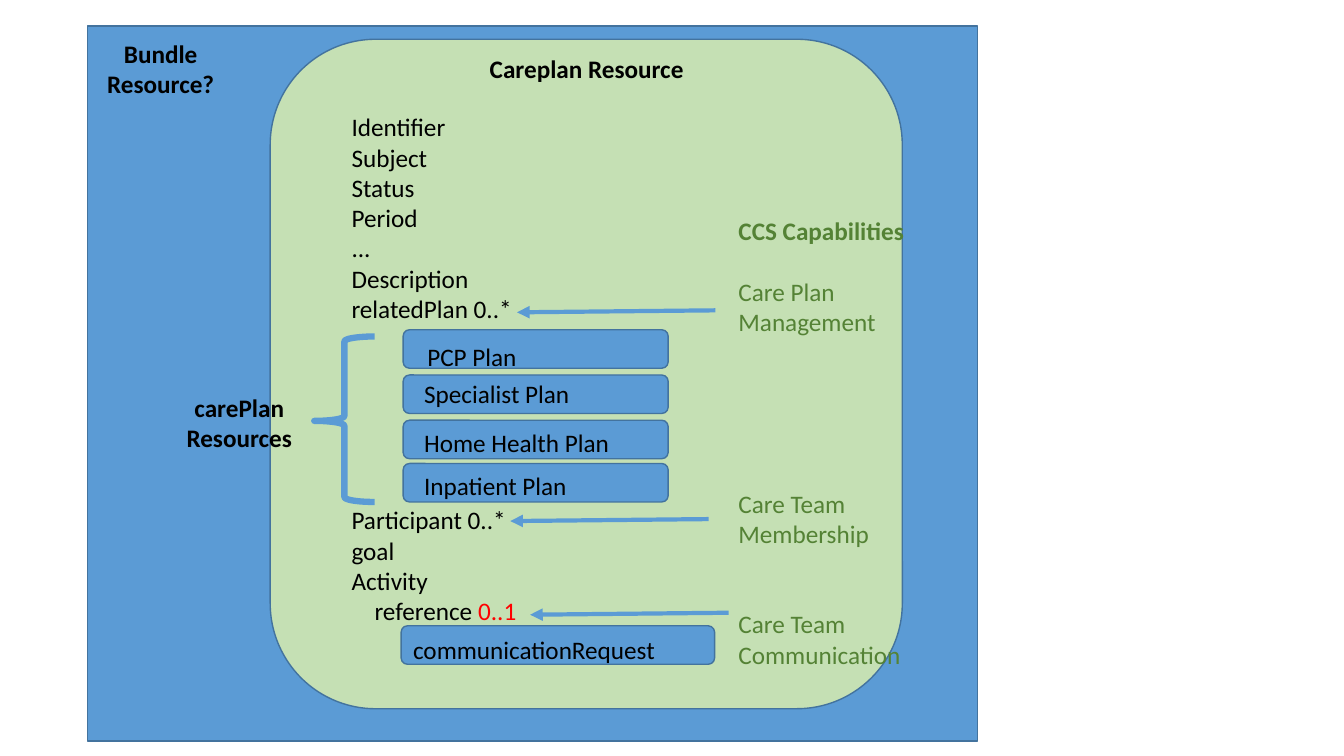
import pptx
import pptx.dml.color
import pptx.enum.shapes
import pptx.enum.text
import pptx.util
from lxml import etree
from pptx.util import Cm

BLUE = pptx.dml.color.RGBColor(0x5B, 0x9B, 0xD5)
DARK_BLUE = pptx.dml.color.RGBColor(0x43, 0x73, 0x9E)
LIGHT_GREEN = pptx.dml.color.RGBColor(0xC5, 0xE0, 0xB4)
GREEN = pptx.dml.color.RGBColor(0x54, 0x82, 0x35)
BLACK = pptx.dml.color.RGBColor(0, 0, 0)
RED = pptx.dml.color.RGBColor(0xFF, 0, 0)

SHAPES = pptx.enum.shapes.MSO_SHAPE
CENTER = pptx.enum.text.PP_ALIGN.CENTER
LEFT = pptx.enum.text.PP_ALIGN.LEFT
LINE_PITCH = 21.6

FIELDS = [
    ("Identifier", 0), ("Subject", 0), ("Status", 0), ("Period", 0),
    ("...", 0), ("Description", 0), ("relatedPlan 0..*", 0),
    ("Participant 0..*", 6), ("goal", 0), ("Activity", 0), ("reference ", 0),
]
CAPABILITIES = [
    ("CCS Capabilities", 0), ("Care Plan Management", 1),
    ("Care Team Membership", 5), ("Care Team Communication", 2),
]
PLANS = [
    ("PCP Plan", 8.31, 10.52, 8.48),
    ("Specialist Plan", 9.45, 10.44, 9.42),
    ("Home Health Plan", 10.59, 10.44, 10.64),
    ("Inpatient Plan", 11.68, 10.44, 11.73),
]
ARROW_STARTS = [(17.86, 13.08), (18.03, 7.82), (18.36, 15.44)]


def add_panel(slide, kind, left, top, width, height, color):
    panel = slide.shapes.add_shape(kind, Cm(left), Cm(top), Cm(width), Cm(height))
    panel.shadow.inherit = False
    panel.fill.solid()
    panel.fill.fore_color.rgb = color
    panel.line.color.rgb = DARK_BLUE
    panel.line.width = pptx.util.Pt(1)


def format_paragraph(paragraph, color, bold, alignment):
    paragraph.alignment = alignment
    paragraph.font.name = "Calibri"
    paragraph.font.size = pptx.util.Pt(18)
    paragraph.font.bold = bold
    paragraph.font.color.rgb = color


def add_text(slide, left, top, width, height, lines,
             color=BLACK, bold=False, alignment=LEFT):
    box = slide.shapes.add_textbox(Cm(left), Cm(top), Cm(width), Cm(height))
    frame = box.text_frame
    frame.word_wrap = True
    for index, (text, lines_before) in enumerate(lines):
        paragraph = frame.add_paragraph() if index else frame.paragraphs[0]
        paragraph.text = text
        if lines_before:
            paragraph.space_before = pptx.util.Pt(lines_before * LINE_PITCH)
        format_paragraph(paragraph, color, bold, alignment)
    return frame.paragraphs


def add_arrow(slide, left, top):
    arrow = slide.shapes.add_connector(
        pptx.enum.shapes.MSO_CONNECTOR.STRAIGHT,
        Cm(left), Cm(top), Cm(left - 5), Cm(top + 0.05))
    arrow.line.color.rgb = BLUE
    arrow.line.width = pptx.util.Pt(3)
    namespace = pptx.oxml.ns.qn
    etree.SubElement(arrow.line._get_or_add_ln(), namespace("a:tailEnd"), type="triangle")
    etree.SubElement(arrow._element.spPr, namespace("a:effectLst"))


def add_brace(slide):
    brace = slide.shapes.add_shape(
        SHAPES.LEFT_BRACE, Cm(7.92), Cm(8.48), Cm(1.52), Cm(4.17))
    brace.shadow.inherit = False
    brace.adjustments[0] = 0.08
    brace.adjustments[1] = 0.51
    brace.fill.background()
    brace.line.color.rgb = BLUE
    brace.line.width = pptx.util.Pt(4.5)


def place_title(slide):
    title = slide.shapes.title
    title.left, title.top, title.width, title.height = Cm(9.45), Cm(1.22), Cm(10.67), Cm(1.04)
    title.text_frame.text = "Careplan Resource"
    title.text_frame.vertical_anchor = pptx.enum.text.MSO_ANCHOR.TOP
    title.text_frame.auto_size = pptx.enum.text.MSO_AUTO_SIZE.NONE
    format_paragraph(title.text_frame.paragraphs[0], BLACK, True, CENTER)
    slide.shapes._spTree.append(title._element)


def main():
    presentation = pptx.Presentation()
    presentation.slide_width = Cm(33.87)
    presentation.slide_height = Cm(19.05)
    slide = presentation.slides.add_slide(presentation.slide_layouts[5])

    add_panel(slide, SHAPES.RECTANGLE, 2.21, 0.66, 22.43, 18.01, BLUE)
    add_panel(slide, SHAPES.ROUNDED_RECTANGLE, 6.81, 0.99, 15.93, 16.87, LIGHT_GREEN)

    reference = add_text(slide, 8.61, 2.69, 5.46, 15.65, FIELDS)[-1]
    reference._p.get_or_add_pPr().set("marL", str(Cm(0.58)))
    cardinality = reference.add_run()
    cardinality.text = "0..1"
    cardinality.font.color.rgb = RED

    for name, top, text_left, text_top in PLANS:
        add_panel(slide, SHAPES.ROUNDED_RECTANGLE, 10.16, top, 6.68, 0.97, BLUE)
        add_text(slide, text_left, text_top, 6.07, 1.02, [(name, 0)])
    add_panel(slide, SHAPES.ROUNDED_RECTANGLE, 10.11, 15.77, 7.9, 0.97, BLUE)
    add_text(slide, 10.16, 15.85, 6.68, 1.02, [("communicationRequest", 0)])

    for left, top in ARROW_STARTS:
        add_arrow(slide, left, top)

    capabilities = add_text(slide, 18.36, 5.31, 5.23, 11.79, CAPABILITIES, GREEN)
    capabilities[0].font.bold = True

    place_title(slide)
    add_text(slide, 2.13, 0.84, 3.84, 1.8, [("Bundle Resource?", 0)], BLACK, True, CENTER)
    add_brace(slide)
    add_text(slide, 4.11, 9.75, 3.84, 1.8, [("carePlan Resources", 0)], BLACK, True, CENTER)

    presentation.save("out.pptx")


if __name__ == "__main__":
    main()
